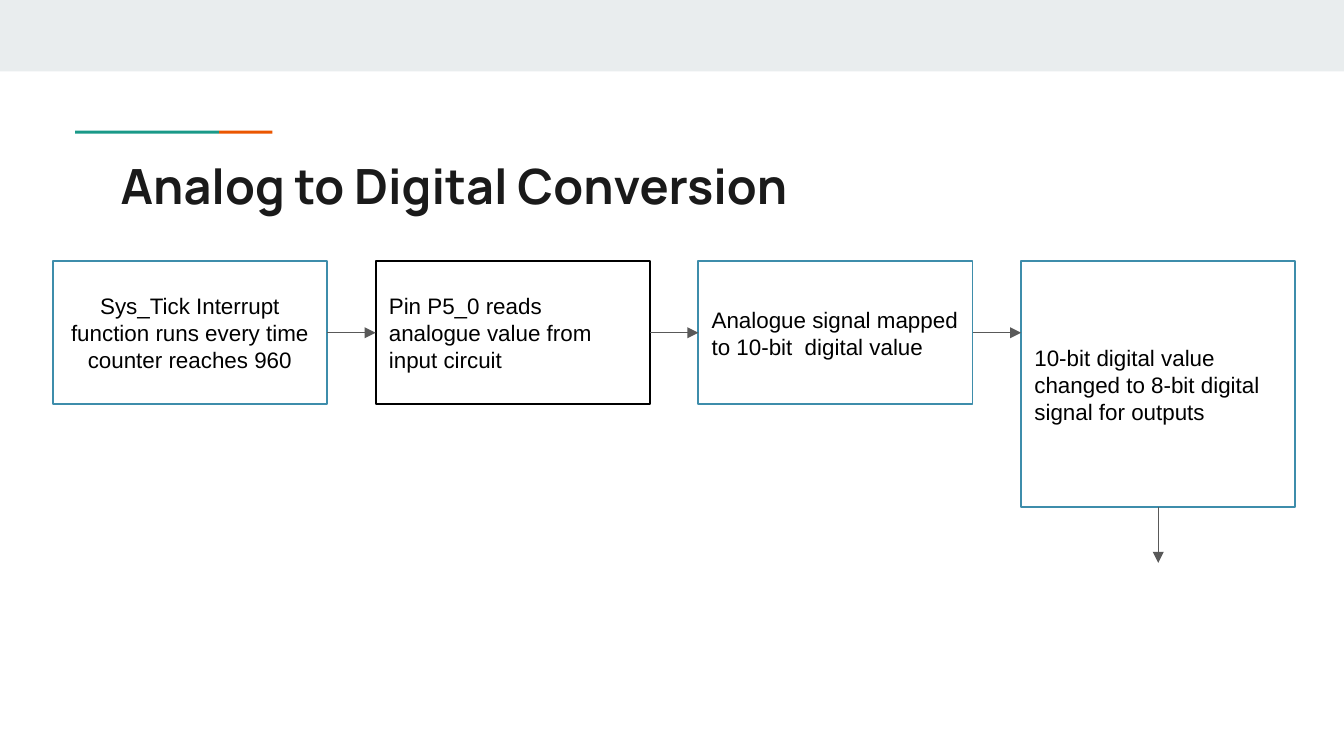
from dataclasses import dataclass

from lxml import etree
from pptx import Presentation
from pptx.dml.color import RGBColor
from pptx.enum.shapes import MSO_CONNECTOR, MSO_SHAPE
from pptx.enum.text import MSO_ANCHOR, MSO_AUTO_SIZE, PP_ALIGN
from pptx.oxml.ns import qn
from pptx.util import Cm, Pt

RECTANGLE = MSO_SHAPE.RECTANGLE
STRAIGHT = MSO_CONNECTOR.STRAIGHT
LEFT, CENTER = PP_ALIGN.LEFT, PP_ALIGN.CENTER
TOP, MIDDLE = MSO_ANCHOR.TOP, MSO_ANCHOR.MIDDLE


@dataclass(frozen=True)
class Theme:
    band: str = "E9EDEE"
    teal: str = "1A9988"
    orange: str = "EB5600"
    heading: str = "1A1A1A"
    step_fill: str = "FFFFFF"
    step_line: str = "3E8DAB"
    black: str = "000000"
    arrow: str = "595959"
    heading_font: str = "Manrope"
    body_font: str = "Arial"
    heading_size: int = 26
    body_size: int = 12


theme = Theme()


def write_text(shape, text, *, font, size, color, bold=False, align=LEFT,
               anchor=MIDDLE, inset_y=0.13):
    frame = shape.text_frame
    frame.word_wrap = True
    frame.auto_size = MSO_AUTO_SIZE.NONE
    frame.vertical_anchor = anchor
    frame.margin_left = frame.margin_right = Cm(0.25)
    frame.margin_top = frame.margin_bottom = Cm(inset_y)
    paragraph = frame.paragraphs[0]
    paragraph.alignment = align
    run = paragraph.add_run()
    run.text = text
    run.font.name = font
    run.font.size = Pt(size)
    run.font.bold = bold
    run.font.color.rgb = RGBColor.from_string(color)


def add_box(left, top, width, height, fill, line=None):
    box = slide.shapes.add_shape(RECTANGLE, Cm(left), Cm(top), Cm(width), Cm(height))
    box.shadow.inherit = False
    box.fill.solid()
    box.fill.fore_color.rgb = RGBColor.from_string(fill)
    if line:
        box.line.color.rgb = RGBColor.from_string(line)
        box.line.width = Pt(1)
    else:
        box.line.fill.background()
    return box


deck = Presentation()
deck.slide_width, deck.slide_height = Cm(25.4), Cm(14.29)
slide = deck.slides.add_slide(deck.slide_layouts[5])

# Top band and two-colour accent rule
add_box(0, 0, 25.4, 1.35, theme.band)
add_box(1.42, 2.47, 2.72, 0.06, theme.teal)
add_box(4.14, 2.47, 1.01, 0.06, theme.orange)

# Title
heading = slide.shapes.title
heading.left, heading.top, heading.width, heading.height = (
    Cm(2.03), Cm(2.69), Cm(21.36), Cm(1.5))
write_text(heading, "Analog to Digital Conversion", font=theme.heading_font,
           size=theme.heading_size, color=theme.heading, bold=True,
           anchor=TOP, inset_y=0.25)

# Process steps: text, height, outline, alignment
steps = [
    ("Sys_Tick Interrupt function runs every time counter reaches 960",
     2.7, theme.step_line, CENTER),
    ("Pin P5_0 reads analogue value from input circuit",
     2.7, theme.black, LEFT),
    ("Analogue signal mapped to 10-bit  digital value",
     2.7, theme.step_line, LEFT),
    ("10-bit digital value changed to 8-bit digital signal for outputs",
     4.65, theme.step_line, LEFT),
]
first_left, step_top, step_width, pitch = 1.0, 4.94, 5.18, 6.1
for index, (wording, height, outline, align) in enumerate(steps):
    step = add_box(first_left + index * pitch, step_top, step_width, height,
                   theme.step_fill, outline)
    write_text(step, wording, font=theme.body_font, size=theme.body_size,
               color=theme.black, align=align)

# Arrows between the steps, then down from the last one
flow_y = 6.29
routes = []
for index in range(len(steps) - 1):
    step_left = first_left + index * pitch
    routes.append((step_left + step_width, flow_y, step_left + pitch, flow_y))
exit_x = first_left + 3 * pitch + step_width / 2
routes.append((exit_x, 9.59, exit_x, 10.64))

for route in routes:
    arrow = slide.shapes.add_connector(STRAIGHT, *[Cm(value) for value in route])
    arrow.line.color.rgb = RGBColor.from_string(theme.arrow)
    arrow.line.width = Pt(0.75)
    etree.SubElement(arrow.line._get_or_add_ln(), qn("a:tailEnd"), type="triangle")
    etree.SubElement(arrow._element.spPr, qn("a:effectLst"))

deck.save("out.pptx")
